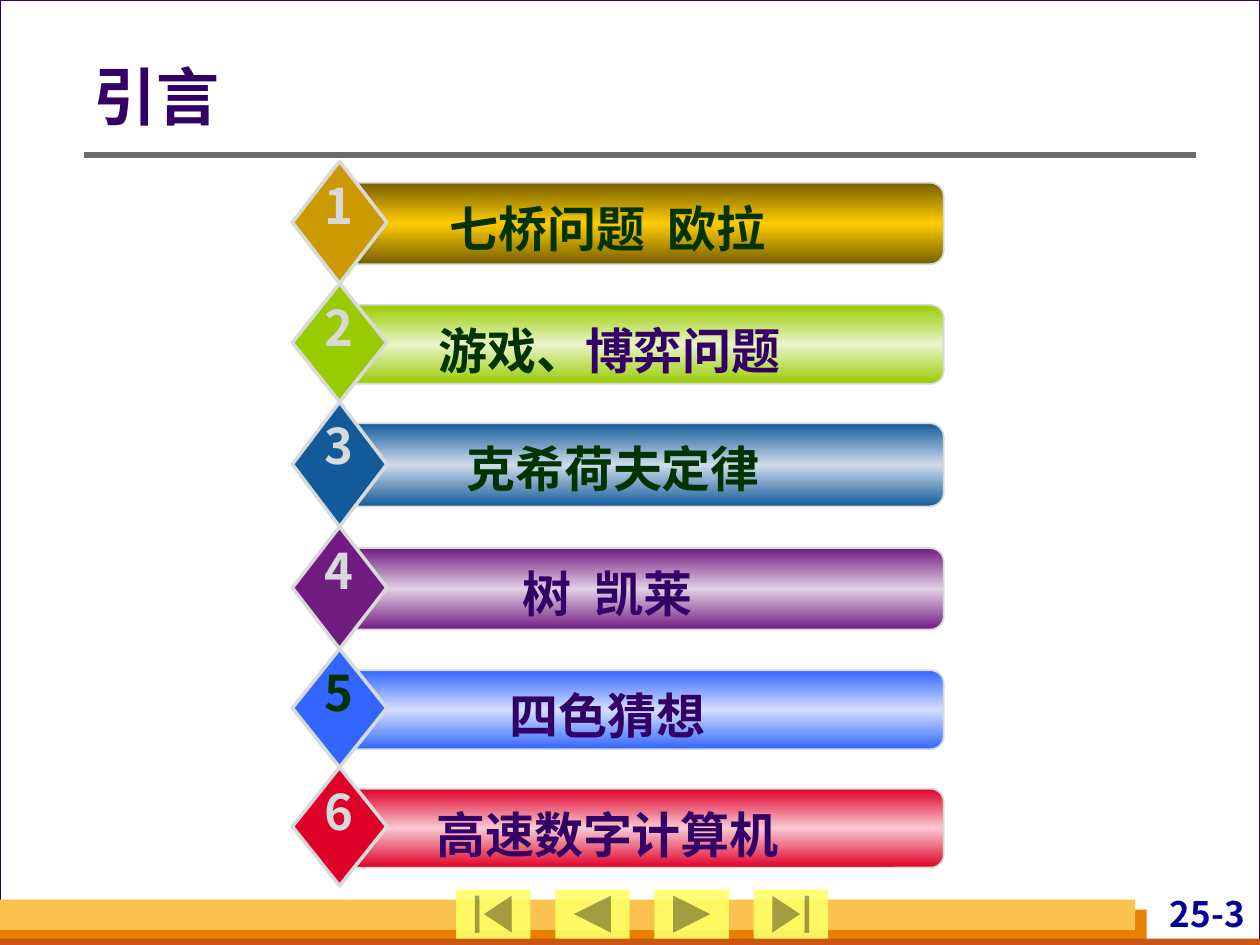
from copy import deepcopy

from lxml.etree import SubElement
from pptx import Presentation
from pptx.dml.color import RGBColor
from pptx.enum.shapes import MSO_CONNECTOR, MSO_SHAPE
from pptx.enum.text import MSO_ANCHOR, MSO_AUTO_SIZE, PP_ALIGN
from pptx.oxml.ns import qn
from pptx.util import Inches, Pt

HUES = {
    "white": "FFFFFF", "pale": "D8DADA", "violet": "330066", "green": "003300",
    "navy": "000099", "rule": "6B6B6B", "orange": "E88000", "rust": "C95616",
    "amber": "FCC24F", "button": "FFFF66",
}
FONT = "Noto Sans CJK SC"
COLS, ROWS = 100, 75

# number hue, diamond height in rows, diamond, bar edge, bar middle, label runs
ITEMS = [
    ("pale", 9.7, "CC9900", "765E00", "FFCC00", [("七桥问题  欧拉 ", "green")]),
    ("pale", 9.4, "99CC00", "99CC00", "E9F4C9",
     [("游戏、", "green"), ("博弈问题", "violet", 28, "Arial"),
      (" ", "violet", 18, "Arial", False)]),
    ("pale", 9.9, "135A9A", "135A9A", "CDDCEA", [("克希荷夫定律", "green")]),
    ("pale", 9.7, "711C81", "711C81", "E1CFE4", [("树  凯莱 ", "violet")]),
    ("green", 9.4, "3366FF", "3366FF", "D4DFFF", [("四色猜想 ", "violet")]),
    ("pale", 9.4, "DF0029", "DF0029", "F8C9D2", [("高速数字计算机 ", "violet")]),
]
BUTTONS = [
    MSO_SHAPE.ACTION_BUTTON_BEGINNING,
    MSO_SHAPE.ACTION_BUTTON_BACK_OR_PREVIOUS,
    MSO_SHAPE.ACTION_BUTTON_FORWARD_OR_NEXT,
    MSO_SHAPE.ACTION_BUTTON_END,
]


def tint(name):
    return RGBColor.from_string(HUES.get(name, name))


class Board:
    """Draws on one slide; lengths are columns and rows of a grid."""

    def __init__(self, deck):
        self.slide = deck.slides.add_slide(deck.slide_layouts[6])
        self.home = self.slide.shapes
        self.col = deck.slide_width / COLS
        self.row = deck.slide_height / ROWS
        back = self.slide.background.fill
        back.solid()
        back.fore_color.rgb = tint("pale")

    def group(self):
        """Send what is drawn next into a new group."""
        self.home = self.slide.shapes.add_group_shape().shapes

    def place(self, x, y, w, h):
        return (round(x * self.col), round(y * self.row),
                round(w * self.col), round(h * self.row))

    def shape(self, kind, at, fill, line=None, width=1):
        item = self.home.add_shape(kind, *self.place(*at))
        item.shadow.inherit = False
        item.fill.solid()
        item.fill.fore_color.rgb = tint(fill)
        if line:
            item.line.color.rgb = tint(line)
            item.line.width = Pt(width)
        else:
            item.line.fill.background()
        return item

    def bar(self, at, edge, mid):
        item = self.shape(MSO_SHAPE.ROUNDED_RECTANGLE, at, edge, "pale")
        item.fill.gradient()
        item.fill.gradient_angle = 270
        stops = item._element.spPr.find(f".//{qn('a:gsLst')}")
        stops.append(deepcopy(stops[0]))
        for stop, spot, hue in zip(item.fill.gradient_stops,
                                   (0, 0.5, 1), (edge, mid, edge)):
            stop.position = spot
            stop.color.rgb = tint(hue)

    def button(self, kind, at):
        item = self.shape(kind, at, "button")
        hue = item._element.spPr.find(f"{qn('a:solidFill')}/{qn('a:srgbClr')}")
        SubElement(hue, qn("a:alpha")).set("val", "90000")

    def rule(self, x, y, end):
        left, top, right, _ = self.place(x, y, end, 0)
        line = self.home.add_connector(
            MSO_CONNECTOR.STRAIGHT, left, top, right, top)
        line.line.color.rgb = tint("rule")
        line.line.width = Pt(3)
        SubElement(line._element.spPr, qn("a:effectLst"))

    def text(self, at, runs, align=PP_ALIGN.CENTER, pad=(0.1, 0.05, 0.1, 0.05),
             wrap=True, grow=True):
        frame = self.home.add_textbox(*self.place(*at)).text_frame
        frame.word_wrap = wrap
        frame.auto_size = (MSO_AUTO_SIZE.SHAPE_TO_FIT_TEXT if grow
                           else MSO_AUTO_SIZE.NONE)
        (frame.margin_left, frame.margin_top,
         frame.margin_right, frame.margin_bottom) = map(Inches, pad)
        para = frame.paragraphs[0]
        para.alignment = align
        for run in runs:
            self.run(para, *run)
        return frame

    def run(self, para, words, hue, size=28, face=FONT, bold=True):
        run = para.add_run()
        run.text = words
        font = run.font
        font.size, font.bold, font.name = Pt(size), bold, face
        font.color.rgb = tint(hue)
        SubElement(run._r.get_or_add_rPr(), qn("a:ea")).set("typeface", FONT)

    def item(self, num, top, high, hue, core, edge, mid, runs):
        """A numbered diamond with its label bar."""
        self.group()
        self.bar((27.4, top + 1.7, 47.5, high * 2 / 3), edge, mid)
        self.shape(MSO_SHAPE.DIAMOND, (23.2, top, 7.5, high), core, "pale", 2)
        self.text((29.9, top + 2.45, 37.5, 5.7), runs)
        self.text((24.75, top + 0.6, 4.2, 5.7), [(str(num), hue)], wrap=False)


def main():
    deck = Presentation()
    deck.slide_width, deck.slide_height = Inches(10), Inches(7.5)
    board = Board(deck)

    box = MSO_SHAPE.RECTANGLE
    board.shape(box, (0, 0, COLS, ROWS), "white", "violet", 0.75)
    board.shape(box, (0, 72.2, 91, 2.8), "orange")
    board.shape(box, (0, 74.5, COLS, 0.5), "rust")
    board.shape(box, (0, 71.4, 90.1, 2.4), "amber")
    board.text((87, 70.8, 12.2, 3.8), [("25-3", "navy", 20)],
               PP_ALIGN.RIGHT, (0.04, 0, 0.04, 0))
    board.rule(6.7, 12.3, 94.9)
    for step, kind in enumerate(BUTTONS):
        board.button(kind, (36.2 + 7.87 * step, 70.6, 5.9, 3.9))

    title = board.text((7.4, 4.1, 86.8, 7.7), [("引言", "violet", 36)],
                       PP_ALIGN.LEFT, (0, 0.05, 0.1, 0.05), grow=False)
    title.vertical_anchor = MSO_ANCHOR.MIDDLE
    title.paragraphs[0].line_spacing = 0.9

    top = 12.8
    for num, (hue, high, *rest) in enumerate(ITEMS, 1):
        board.item(num, top, high, hue, *rest)
        top += high
    deck.save("out.pptx")


if __name__ == "__main__":
    main()
